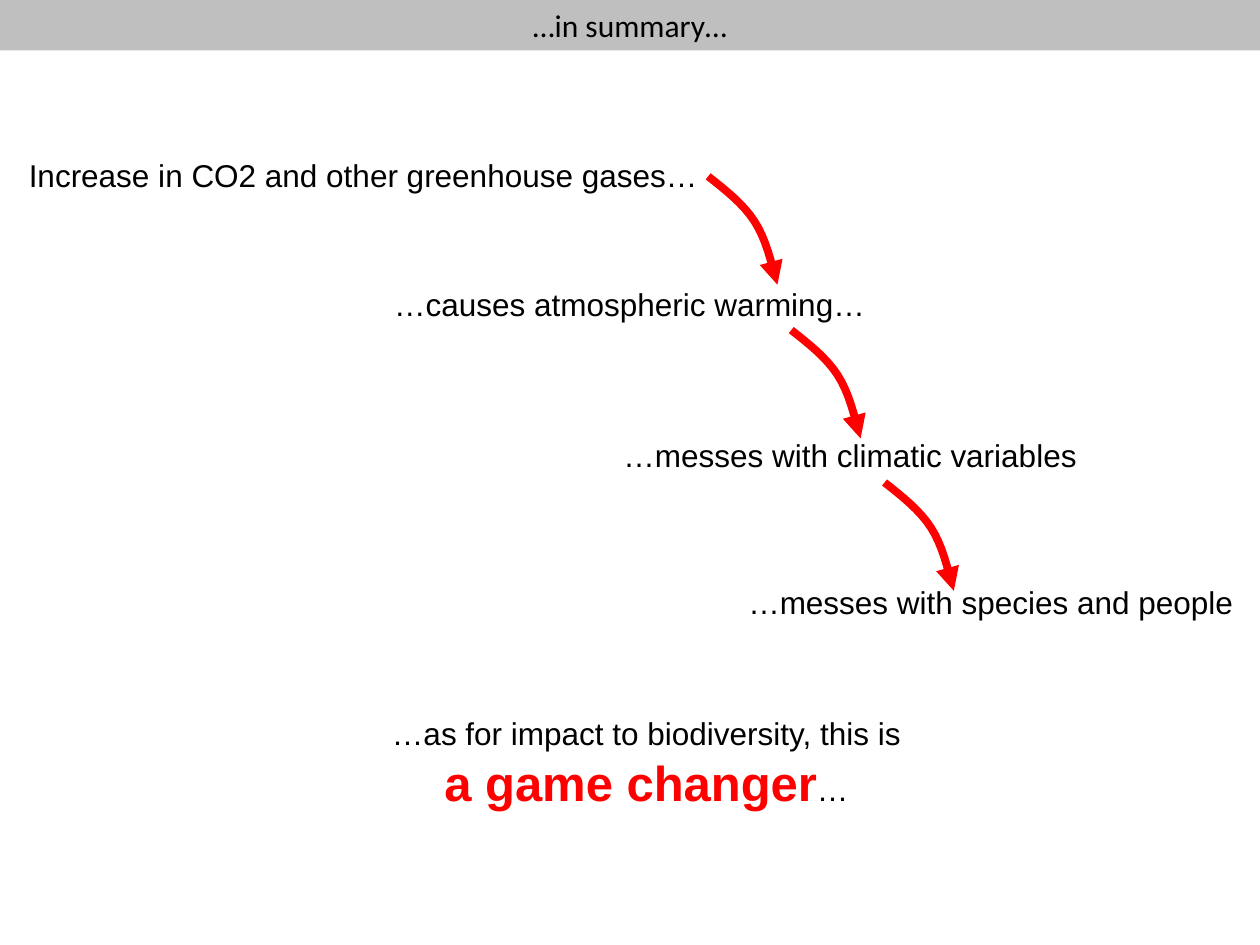
from lxml import etree
from pptx import Presentation
from pptx.dml.color import RGBColor
from pptx.enum.shapes import MSO_SHAPE
from pptx.enum.text import MSO_ANCHOR, MSO_AUTO_SIZE, PP_ALIGN
from pptx.oxml.ns import qn
from pptx.util import Inches, Pt

COLORS = {"text": "000000", "accent": "FF0000", "band": "BFBFBF"}
BODY = {"name": "Arial", "size": Pt(18), "bold": False}
TITLE = {**BODY, "name": "Calibri"}
PUNCH = {**BODY, "size": Pt(28), "bold": True}


def add_run(p, text, fmt, color="text"):
    r = p.add_run()
    r.text = text
    for key, value in fmt.items():
        setattr(r.font, key, value)
    r.font.color.rgb = RGBColor.from_string(COLORS[color])


def add_label(x, y, w, h=0.4):
    sp = s.shapes.add_textbox(Inches(x), Inches(y), Inches(w), Inches(h))
    sp.text_frame.word_wrap = False
    sp.text_frame.auto_size = MSO_AUTO_SIZE.SHAPE_TO_FIT_TEXT
    return sp.text_frame


prs = Presentation()
prs.slide_width, prs.slide_height = Inches(10), Inches(7.5)
s = prs.slides.add_slide(prs.slide_layouts[6])

# Title band
sp = s.shapes.add_shape(MSO_SHAPE.RECTANGLE, 0, 0, prs.slide_width, Inches(0.4))
sp.shadow.inherit = False
sp.fill.solid()
sp.fill.fore_color.rgb = RGBColor.from_string(COLORS["band"])
sp.line.fill.background()
tf = sp.text_frame
tf.vertical_anchor = MSO_ANCHOR.TOP
tf.paragraphs[0].alignment = PP_ALIGN.CENTER
add_run(tf.paragraphs[0], "…in summary…", TITLE)

# Chain of effects
steps = [
    (0.13, 1.19, 5.52, "Increase in CO2 and other greenhouse gases…"),
    (3.03, 2.21, 3.97, "…causes atmospheric warming…"),
    (4.85, 3.41, 3.83, "…messes with climatic variables"),
    (5.84, 4.58, 4.09, "…messes with species and people"),
]
for x, y, w, text in steps:
    add_run(add_label(x, y, w).paragraphs[0], text, BODY)

# Curved arrows: two cubic Bezier pieces, sampled as short segments
pieces = [
    [(0, 0), (0.14, 0.11), (0.28, 0.22), (0.37, 0.36)],
    [(0.37, 0.36), (0.46, 0.5), (0.5, 0.68), (0.55, 0.86)],
]
SAMPLES = 8
curve = []
for a, b, c, d in pieces:
    for i in range(1, SAMPLES + 1):
        t = i / SAMPLES
        weights = ((1 - t) ** 3, 3 * t * (1 - t) ** 2, 3 * t * t * (1 - t), t ** 3)
        curve.append([sum(k * pt[axis] for k, pt in zip(weights, (a, b, c, d)))
                      for axis in (0, 1)])

for x, y in [(5.62, 1.4), (6.28, 2.62), (7.02, 3.83)]:
    fb = s.shapes.build_freeform(Inches(x), Inches(y))
    fb.add_line_segments([(Inches(x + dx), Inches(y + dy)) for dx, dy in curve],
                         close=False)
    sp = fb.convert_to_shape()
    sp.shadow.inherit = False
    sp.fill.background()
    sp.line.color.rgb = RGBColor.from_string(COLORS["accent"])
    sp.line.width = Pt(4.5)
    etree.SubElement(sp.line._get_or_add_ln(), qn("a:tailEnd"), type="triangle")

# Conclusion
tf = add_label(2.99, 5.62, 4.28, 0.88)
lines = [
    [("…as for impact to biodiversity, this is", BODY, "text")],
    [("a game changer", PUNCH, "accent"), ("…", BODY, "text")],
]
for i, runs in enumerate(lines):
    p = tf.add_paragraph() if i else tf.paragraphs[0]
    p.alignment = PP_ALIGN.CENTER
    for run in runs:
        add_run(p, *run)

prs.save("out.pptx")
